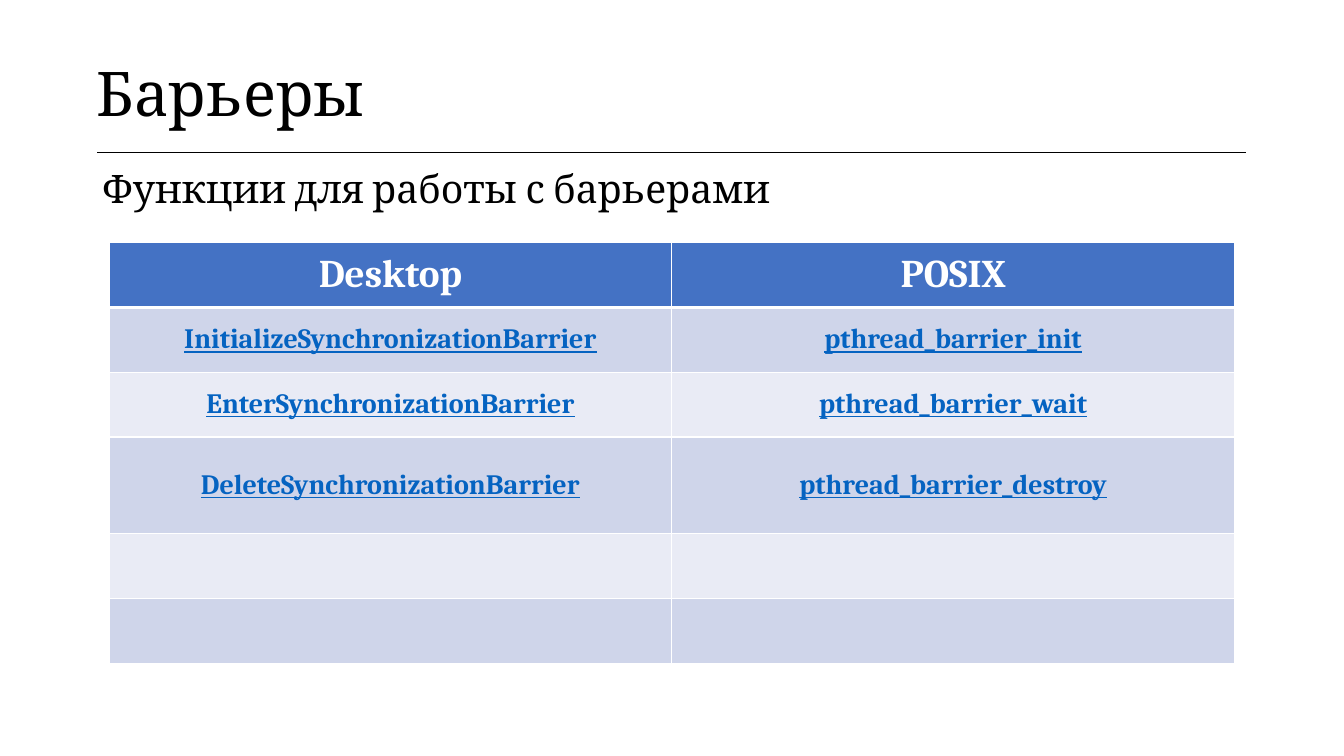
import dataclasses

import lxml.etree
import pptx
import pptx.dml.color
import pptx.enum.text
import pptx.oxml.ns
import pptx.util

Cm = pptx.util.Cm
Pt = pptx.util.Pt
ALIGN = pptx.enum.text.PP_ALIGN


@dataclasses.dataclass(frozen=True)
class Theme:
    font: str = "Cambria"
    text: str = "000000"
    paper: str = "FFFFFF"
    header: str = "4472C4"
    bands: tuple = ("CFD5EA", "E9EBF5")
    function: str = "0563C1"
    title_size: int = 44
    heading_size: int = 28
    function_size: int = 20


class SlideBuilder:
    def __init__(self, slide, theme):
        self.slide = slide
        self.theme = theme

    def style(self, paragraph, size, color, align=ALIGN.LEFT, bold=False, underline=False):
        paragraph.alignment = align
        font = paragraph.font
        font.name, font.size = self.theme.font, Pt(size)
        font.bold, font.underline = bold, underline
        font.color.rgb = pptx.dml.color.RGBColor.from_string(color)

    def borders(self, cell, color, **widths):
        """Draw cell edges; widths maps L, R, T, B (in that order) to points."""
        properties = cell._tc.get_or_add_tcPr()
        for edge, width in widths.items():
            line = lxml.etree.SubElement(
                properties, pptx.oxml.ns.qn(f"a:ln{edge}"), w=str(Pt(width)))
            fill = lxml.etree.SubElement(line, pptx.oxml.ns.qn("a:solidFill"))
            lxml.etree.SubElement(fill, pptx.oxml.ns.qn("a:srgbClr"), val=color)

    def table(self, left, top, columns, rows):
        """Add an unbanded table with column widths and row heights in cm."""
        table = self.slide.shapes.add_table(
            len(rows), len(columns), Cm(left), Cm(top),
            Cm(sum(columns)), Cm(sum(rows))).table
        table.first_row = table.horz_banding = False
        for column, width in zip(table.columns, columns):
            column.width = Cm(width)
        for row, height in zip(table.rows, rows):
            row.height = Cm(height)
        for cell in table.iter_cells():
            cell.vertical_anchor = pptx.enum.text.MSO_ANCHOR.MIDDLE
        return table

    def title(self, text):
        cell = self.table(2.44, 1.02, [28.98], [2.82]).cell(0, 0)
        cell.margin_left = cell.margin_right = cell.margin_top = cell.margin_bottom = 0
        self.borders(cell, self.theme.text, B=1)
        cell.fill.background()
        cell.text = text
        self.style(cell.text_frame.paragraphs[0], self.theme.title_size, self.theme.text)

    def subtitle(self, text):
        frame = self.slide.shapes.add_textbox(
            Cm(2.34), Cm(4.14), Cm(29.11), Cm(14.2)).text_frame
        frame.word_wrap = True
        frame.text = text
        paragraph = frame.paragraphs[0]
        paragraph.line_spacing = 0.9
        paragraph.space_before = Pt(10)
        self.style(paragraph, self.theme.heading_size, self.theme.text)

    def function_table(self, lines, heights):
        theme = self.theme
        table = self.table(2.75, 6.12, [14.18, 14.18], heights)
        for row, names in enumerate(lines):
            is_header = row == 0
            for column, name in enumerate(names):
                cell = table.cell(row, column)
                self.borders(cell, theme.paper, L=1, R=1,
                             T=3 if row == 1 else 1, B=3 if is_header else 1)
                cell.fill.solid()
                cell.fill.fore_color.rgb = pptx.dml.color.RGBColor.from_string(
                    theme.header if is_header else theme.bands[(row - 1) % 2])
                if not name:
                    continue
                cell.text = name
                self.style(cell.text_frame.paragraphs[0],
                           theme.heading_size if is_header else theme.function_size,
                           theme.paper if is_header else theme.function,
                           ALIGN.CENTER, bold=True, underline=not is_header)


def main():
    presentation = pptx.Presentation()
    presentation.slide_width = Cm(33.87)
    presentation.slide_height = Cm(19.05)
    slide = presentation.slides.add_slide(presentation.slide_layouts[6])
    builder = SlideBuilder(slide, Theme())

    builder.subtitle("Функции для работы с барьерами")
    builder.title("Барьеры")
    builder.function_table(
        [
            ("Desktop", "POSIX"),
            ("InitializeSynchronizationBarrier", "pthread_barrier_init"),
            ("EnterSynchronizationBarrier", "pthread_barrier_wait"),
            ("DeleteSynchronizationBarrier", "pthread_barrier_destroy"),
            ("", ""),
            ("", ""),
        ],
        heights=[1.63, 1.63, 1.63, 2.44, 1.63, 1.63],
    )
    presentation.save("out.pptx")


if __name__ == "__main__":
    main()
